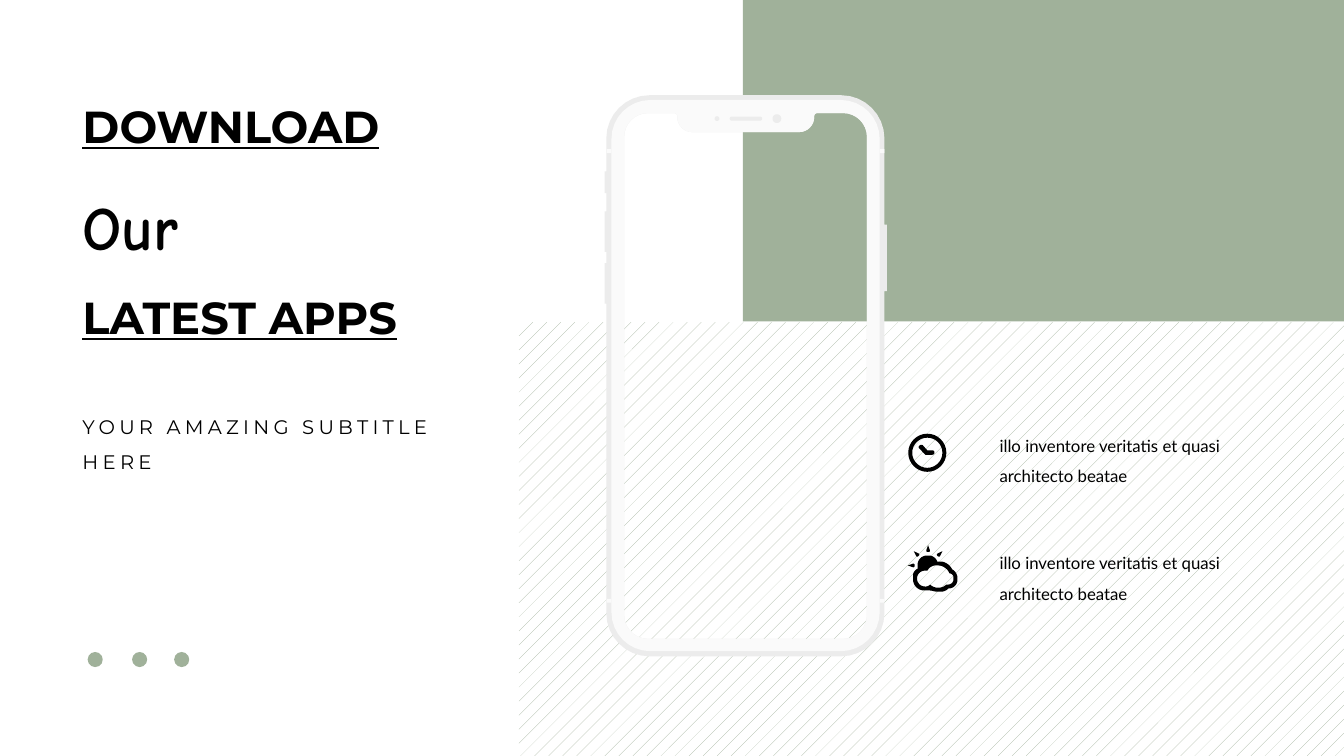
from math import cos, dist, radians, sin

from pptx import Presentation
from pptx.dml.color import RGBColor as Rgb
from pptx.enum.dml import MSO_PATTERN as Pattern
from pptx.enum.shapes import MSO_SHAPE as Shape
from pptx.enum.text import MSO_AUTO_SIZE as Fit
from pptx.util import Cm, Pt

hues = {"sage": "A0B19A", "white": "FFFFFF", "frame": "ECECEC", "bezel": "FAFAFA", "ink": "000000"}
tint = {name: Rgb.from_string(code) for name, code in hues.items()}

deck = Presentation()
deck.slide_width, deck.slide_height = Cm(33.87), Cm(19.05)
slide = deck.slides.add_slide(deck.slide_layouts[6])
shapes = slide.shapes


def write(text, box, size=12, face="Lato", bold=False, under=False, track=0, more=False):
    frame = box.text_frame
    frame.word_wrap = True
    para = frame.add_paragraph() if more else frame.paragraphs[0]
    para.line_spacing = 1.5
    run = para.add_run()
    run.text = text
    font = run.font
    font.size, font.name, font.bold, font.underline = Pt(size), face, bold, under
    font.color.rgb = tint["ink"]
    if track:
        run._r.get_or_add_rPr().set("spc", str(track * 100))


def trace(home, color, loops):
    pen = None
    for loop in loops:
        points = []
        for i, (x, y, r) in enumerate(loop):
            if not r:
                points.append((Cm(x), Cm(y)))
                continue
            ends = []
            for near in (loop[i - 1], loop[(i + 1) % len(loop)]):
                part = r / dist((x, y), near[:2])
                ends.append((x + (near[0] - x) * part, y + (near[1] - y) * part))
            (ax, ay), (bx, by) = ends
            for step in range(9):
                t = step / 8
                a = (1 - t) ** 3 + 1.35 * t * (1 - t) ** 2
                b = t ** 3 + 1.35 * t * t * (1 - t)
                c = 1 - a - b
                points.append((Cm(a * ax + b * bx + c * x), Cm(a * ay + b * by + c * y)))
        if pen is None:
            pen = home.build_freeform(*points[0])
        else:
            pen.move_to(*points[0])
        pen.add_line_segments(points[1:], close=True)
    form = pen.convert_to_shape()
    form.shadow.inherit = False
    form.fill.solid()
    form.fill.fore_color.rgb = tint[color]
    form.line.fill.background()


phone = None
plain = [(Shape.RECTANGLE, 18.72, 0, 15.15, 8.1, "sage"), (Shape.RECTANGLE, 13.08, 8.12, 20.79, 10.93, "hatch")]
plain += [(Shape.OVAL, x, 16.43, 0.38, 0.38, "sage") for x in (2.21, 3.33, 4.39)]
marks = [(Shape.RECTANGLE, x, y, 0.12, 0.1, "bezel") for y in (3.76, 15.09) for x in (15.29, 22.17)]

for kind, x, y, wide, high, color in plain + marks:
    if color == "bezel" and phone is None:
        phone = shapes.add_group_shape().shapes
        edge = [(15.28, 2.4, 1.09), (22.29, 2.4, 1.09), (22.29, 16.54, 1.09), (15.28, 16.54, 1.09)]
        keys = [
            [(left, top, 0), (right, top, 0), (right, base, 0), (left, base, 0)]
            for left, right, top, base in (
                (15.24, 15.28, 4.32, 4.87),
                (15.24, 15.28, 5.33, 6.35),
                (15.24, 15.28, 6.63, 7.65),
                (22.29, 22.35, 5.66, 7.34),
            )
        ]
        screen = [
            (15.73, 2.85, 0.6), (17.07, 2.85, 0.08), (17.07, 3.33, 0.38), (20.52, 3.33, 0.38),
            (20.52, 2.85, 0.08), (21.85, 2.85, 0.6), (21.85, 16.1, 0.6), (15.73, 16.1, 0.6),
        ]
        rim = [(15.41, 2.52, 0.98), (22.17, 2.52, 0.98), (22.17, 16.41, 0.98), (15.41, 16.41, 0.98)]
        holes = [
            [(mid - w, 2.99 - h, h), (mid + w, 2.99 - h, h), (mid + w, 2.99 + h, h), (mid - w, 2.99 + h, h)]
            for mid, w, h in ((18.07, 0.06, 0.06), (18.8, 0.41, 0.05), (19.58, 0.11, 0.11))
        ]
        trace(phone, "frame", [edge, screen] + keys)
        trace(phone, "bezel", [rim, screen])
        trace(phone, "frame", holes)
    home = phone if color == "bezel" else shapes
    item = home.add_shape(kind, Cm(x), Cm(y), Cm(wide), Cm(high))
    item.shadow.inherit = False
    item.line.fill.background()
    if color == "hatch":
        item.fill.patterned()
        item.fill.pattern = Pattern.PERCENT_5
        item.fill.fore_color.rgb = tint["sage"]
        item.fill.back_color.rgb = tint["white"]
    else:
        item.fill.solid()
        item.fill.fore_color.rgb = tint[color]

title = shapes.add_textbox(Cm(1.83), Cm(1.68), Cm(12.57), Cm(7.19))
write("DOWNLOAD", title, size=32, face="Montserrat", bold=True, under=True)
write("Our", title, size=44, face="Comic Neue", bold=True, more=True)
write("LATEST APPS", title, size=32, face="Montserrat", bold=True, under=True, more=True)
title.text_frame.auto_size = Fit.SHAPE_TO_FIT_TEXT

lead = shapes.add_textbox(Cm(1.83), Cm(10.03), Cm(11.23), Cm(3.28))
write("YOUR AMAZING SUBTITLE HERE", lead, size=14, face="Montserrat", track=3)

for top in (10.59, 13.56):
    note = shapes.add_textbox(Cm(24.94), Cm(top), Cm(7.59), Cm(2.16))
    write("illo inventore veritatis et quasi architecto beatae", note)

rings = [
    [(23.37 - r, 11.41 - r, r), (23.37 + r, 11.41 - r, r), (23.37 + r, 11.41 + r, r), (23.37 - r, 11.41 + r, r)]
    for r in (0.48, 0.38)
]
hands = [
    (23.55, 11.35, 0.05), (23.37, 11.35, 0), (23.23, 11.19, 0.05),
    (23.13, 11.26, 0.05), (23.32, 11.46, 0), (23.55, 11.46, 0.05),
]
trace(shapes, "ink", rings + [hands])

sky = shapes.add_group_shape().shapes
cloud = [
    (23.95, 14.15, 0.25), (23.62, 14.15, 0), (23.57, 14, 0.15), (23.11, 14, 0.25), (23.13, 14.33, 0),
    (23.01, 14.38, 0.12), (23.01, 14.88, 0.28), (23.47, 14.88, 0.05), (23.57, 14.91, 0.05),
    (23.83, 14.91, 0.1), (23.9, 14.83, 0), (24.13, 14.83, 0.22), (24.13, 14.43, 0.13), (24, 14.35, 0),
]
inside = [
    (23.11, 14.38, 0.2), (23.37, 14.38, 0), (23.47, 14.25, 0.1), (23.83, 14.25, 0.18), (23.93, 14.45, 0),
    (24.03, 14.45, 0.1), (24.03, 14.73, 0.13), (23.85, 14.73, 0), (23.77, 14.81, 0.1),
    (23.52, 14.81, 0.1), (23.44, 14.73, 0), (23.39, 14.78, 0.05), (23.11, 14.78, 0.2),
]
trace(sky, "ink", [cloud, inside])
for turn in (180, 225, 270, 315):
    dx, dy = cos(radians(turn)), sin(radians(turn))
    ray = [
        (23.39 + far * dx - side * dy, 14.25 + far * dy + side * dx, r)
        for far, side, r in ((0.51, 0, 0), (0.34, 0.06, 0.05), (0.34, -0.06, 0.05))
    ]
    trace(sky, "ink", [ray])

deck.save("out.pptx")
